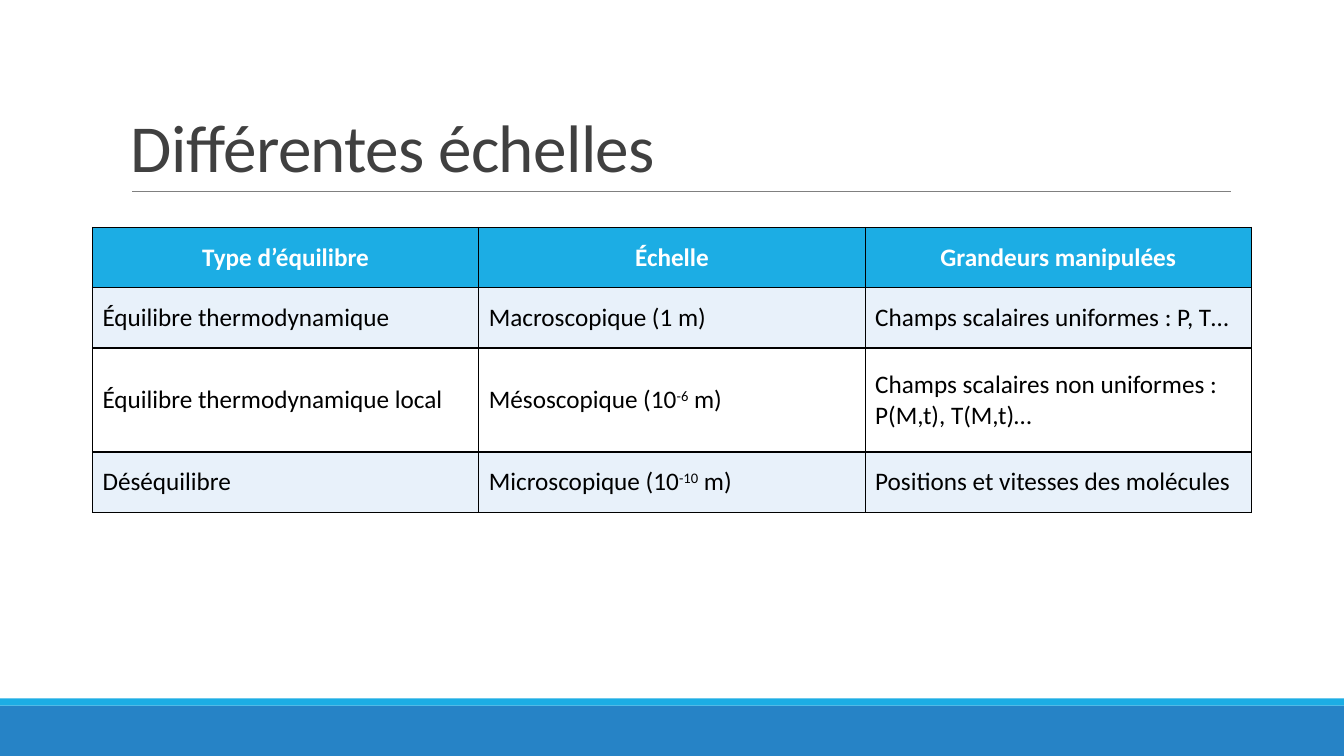
from dataclasses import dataclass

from lxml import etree
from pptx import Presentation
from pptx.dml.color import RGBColor
from pptx.enum.shapes import MSO_CONNECTOR, MSO_SHAPE
from pptx.enum.text import MSO_ANCHOR, PP_ALIGN
from pptx.oxml.ns import qn
from pptx.util import Cm, Pt

RECTANGLE = MSO_SHAPE.RECTANGLE
STRAIGHT = MSO_CONNECTOR.STRAIGHT
MIDDLE, BOTTOM = MSO_ANCHOR.MIDDLE, MSO_ANCHOR.BOTTOM
LEFT, CENTER = PP_ALIGN.LEFT, PP_ALIGN.CENTER

TITLE = "Différentes échelles"
HEADERS = ["Type d’équilibre", "Échelle", "Grandeurs manipulées"]
# In a tuple, every second part is a superscript.
ROWS = [
    ["Équilibre thermodynamique", "Macroscopique (1 m)",
     "Champs scalaires uniformes : P, T…"],
    ["Équilibre thermodynamique local", ("Mésoscopique (10", "-6", " m)"),
     "Champs scalaires non uniformes : P(M,t), T(M,t)…"],
    ["Déséquilibre", ("Microscopique (10", "-10", " m)"),
     "Positions et vitesses des molécules"],
]
ROW_HEIGHTS = [Cm(1.52), Cm(1.52), Cm(2.62), Cm(1.52)]


@dataclass(frozen=True)
class Theme:
    font: str = "Calibri"
    title_size: int = 48
    table_size: int = 18
    title: str = "404040"
    text: str = "000000"
    white: str = "FFFFFF"
    accent: str = "1CADE4"
    footer: str = "2683C6"
    band: str = "E8F1FA"
    rule: str = "808080"


THEME = Theme()
SLIDE_WIDTH, SLIDE_HEIGHT = Cm(33.87), Cm(19.05)
FOOTER_HEIGHT, STRIPE_HEIGHT = Cm(1.27), Cm(0.18)
RULE_LEFT, RULE_RIGHT, RULE_TOP = Cm(3.33), Cm(31.01), Cm(4.83)
TITLE_BOX = Cm(3.05), Cm(0.79), Cm(27.94), Cm(4.04)
TABLE_LEFT, TABLE_TOP, TABLE_WIDTH = Cm(2.33), Cm(5.73), Cm(29.21)


def set_font(font, size, color, bold=False):
    font.name = THEME.font
    font.size = Pt(size)
    font.bold = bold
    font.color.rgb = RGBColor.from_string(color)


def add_band(slide, top, height, color):
    band = slide.shapes.add_shape(RECTANGLE, 0, top, SLIDE_WIDTH, height)
    band.shadow.inherit = False
    band.fill.solid()
    band.fill.fore_color.rgb = RGBColor.from_string(color)
    band.line.fill.background()


def add_rule(slide):
    rule = slide.shapes.add_connector(STRAIGHT, RULE_LEFT, RULE_TOP, RULE_RIGHT, RULE_TOP)
    rule.line.color.rgb = RGBColor.from_string(THEME.rule)
    rule.line.width = Pt(0.5)
    etree.SubElement(rule._element.spPr, qn("a:effectLst"))


def add_title(slide):
    frame = slide.shapes.add_textbox(*TITLE_BOX).text_frame
    frame.word_wrap = True
    frame.vertical_anchor = BOTTOM
    paragraph = frame.paragraphs[0]
    paragraph.line_spacing = 0.85
    run = paragraph.add_run()
    run.text = TITLE
    set_font(paragraph.font, THEME.title_size, THEME.title)
    set_font(run.font, THEME.title_size, THEME.title)
    run._r.get_or_add_rPr().set("spc", "-50")


def add_borders(cell):
    properties = cell._tc.get_or_add_tcPr()
    for side in ("lnL", "lnR", "lnT", "lnB"):
        border = etree.SubElement(properties, qn(f"a:{side}"), w=str(Pt(1)))
        fill = etree.SubElement(border, qn("a:solidFill"))
        etree.SubElement(fill, qn("a:srgbClr"), val=THEME.text)


def fill_cell(cell, content, fill, color, bold, alignment):
    add_borders(cell)
    cell.fill.solid()
    cell.fill.fore_color.rgb = RGBColor.from_string(fill)
    cell.vertical_anchor = MIDDLE
    paragraph = cell.text_frame.paragraphs[0]
    paragraph.alignment = alignment
    set_font(paragraph.font, THEME.table_size, color, bold)
    parts = content if isinstance(content, tuple) else (content,)
    for index, part in enumerate(parts):
        run = paragraph.add_run()
        run.text = part
        set_font(run.font, THEME.table_size, color, bold)
        if index % 2:
            run._r.get_or_add_rPr().set("baseline", "30000")


def add_scale_table(slide):
    rows = [HEADERS, *ROWS]
    table = slide.shapes.add_table(len(rows), len(HEADERS), TABLE_LEFT, TABLE_TOP,
                                   TABLE_WIDTH, sum(ROW_HEIGHTS)).table
    for row_index, (contents, height) in enumerate(zip(rows, ROW_HEIGHTS)):
        table.rows[row_index].height = height
        if row_index == 0:
            style = THEME.accent, THEME.white, True, CENTER
        else:
            style = THEME.band if row_index % 2 else THEME.white, THEME.text, False, LEFT
        for column_index, content in enumerate(contents):
            fill_cell(table.cell(row_index, column_index), content, *style)


def main():
    presentation = Presentation()
    presentation.slide_width = SLIDE_WIDTH
    presentation.slide_height = SLIDE_HEIGHT
    slide = presentation.slides.add_slide(presentation.slide_layouts[6])
    footer_top = SLIDE_HEIGHT - FOOTER_HEIGHT
    add_band(slide, footer_top, FOOTER_HEIGHT, THEME.footer)
    add_band(slide, footer_top - STRIPE_HEIGHT, STRIPE_HEIGHT, THEME.accent)
    add_rule(slide)
    add_title(slide)
    add_scale_table(slide)
    presentation.save("out.pptx")


if __name__ == "__main__":
    main()
